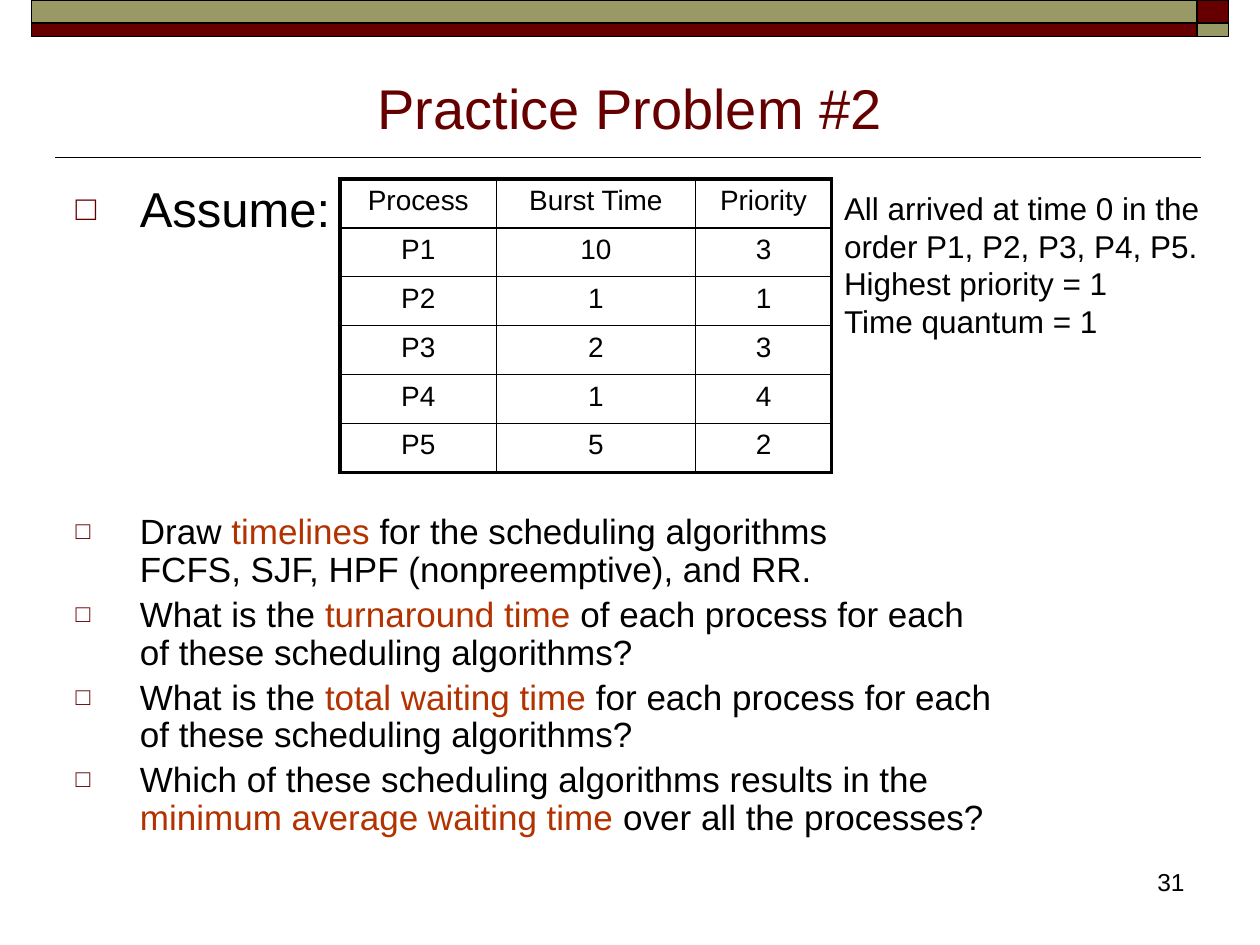
from lxml import etree
from pptx import Presentation
from pptx.dml.color import RGBColor
from pptx.enum import shapes, text
from pptx.oxml import ns
from pptx.util import Pt

SCALE = 9144
BLACK, MAROON, OLIVE, RUST = "000000", "660000", "999966", "B23300"

PROCESSES = [
    ("Process", "Burst Time", "Priority"),
    ("P1", "10", "3"),
    ("P2", "1", "1"),
    ("P3", "2", "3"),
    ("P4", "1", "4"),
    ("P5", "5", "2"),
]
QUESTIONS = [
    "Draw *timelines *for the scheduling algorithms \nFCFS, SJF, HPF (nonpreemptive), and RR.",
    "What is the *turnaround time *of each process for each \nof these scheduling algorithms?",
    "What is the *total waiting time *for each process for each \nof these scheduling algorithms?",
    "Which of these scheduling algorithms results in the \n*minimum average waiting time *over all the processes?",
]
ASSUMPTIONS = [
    "All arrived at time 0 in the",
    "order P1, P2, P3, P4, P5.",
    "Highest priority = 1",
    "Time quantum = 1",
]


def px(length):
    return length * SCALE


def color(value):
    return RGBColor.from_string(value)


def add_xml(parent, tag, **attributes):
    return etree.SubElement(parent, ns.qn(tag), attributes)


class SlideBuilder:
    """Draws styled elements on the current slide."""

    font = "Arial"

    def __init__(self, slide):
        self.slide = slide

    def style(self, run, size, ink=BLACK):
        run.font.name = self.font
        run.font.size = Pt(size)
        run.font.color.rgb = color(ink)

    def place(self, shape, box):
        shape.left, shape.top, shape.width, shape.height = map(px, box)

    def band(self, box, fill):
        band = self.slide.shapes.add_shape(shapes.MSO_SHAPE.RECTANGLE, *map(px, box))
        band.shadow.inherit = False
        band.fill.solid()
        band.fill.fore_color.rgb = color(fill)
        band.line.color.rgb = color(BLACK)
        band.line.width = Pt(1)

    def rule(self, *ends):
        rule = self.slide.shapes.add_connector(shapes.MSO_CONNECTOR.STRAIGHT, *map(px, ends))
        rule.line.color.rgb = color(BLACK)
        rule.line.width = Pt(1)
        add_xml(rule._element.spPr, "a:effectLst")

    def title(self, words, box):
        title = self.slide.shapes.title
        self.place(title, box)
        frame = title.text_frame
        frame.text = words
        frame.auto_size = text.MSO_AUTO_SIZE.NONE
        frame.vertical_anchor = text.MSO_ANCHOR.BOTTOM
        frame.paragraphs[0].alignment = text.PP_ALIGN.CENTER
        self.style(frame.paragraphs[0].runs[0], 32, MAROON)

    def bullets(self, items, box):
        body = self.slide.placeholders[1]
        self.place(body, box)
        frame = body.text_frame
        frame.auto_size = text.MSO_AUTO_SIZE.NONE
        for index, (words, size, gap) in enumerate(items):
            paragraph = frame.add_paragraph() if index else frame.paragraphs[0]
            self.bullet_format(paragraph, gap)
            self.marked_text(paragraph, words, size)

    def bullet_format(self, paragraph, gap):
        paragraph.line_spacing = 0.9
        paragraph.space_before = Pt(gap)
        properties = paragraph._p.get_or_add_pPr()
        properties.set("marL", str(px(51)))
        properties.set("indent", str(px(-51)))
        add_xml(add_xml(properties, "a:buClr"), "a:srgbClr", val=MAROON)
        add_xml(properties, "a:buSzPct", val="70000")
        add_xml(properties, "a:buFont", typeface=self.font)
        add_xml(properties, "a:buChar", char="□")

    def marked_text(self, paragraph, words, size):
        for row, line in enumerate(words.split("\n")):
            if row:
                paragraph.add_line_break()
            for part, phrase in enumerate(line.split("*")):
                if phrase:
                    run = paragraph.add_run()
                    run.text = phrase
                    self.style(run, size, RUST if part % 2 else BLACK)

    def note(self, lines, box, size, align=text.PP_ALIGN.LEFT, wrap=True):
        frame = self.slide.shapes.add_textbox(*map(px, box)).text_frame
        frame.word_wrap = wrap
        frame.text = "\n".join(lines)
        for paragraph in frame.paragraphs:
            paragraph.alignment = align
            self.style(paragraph.runs[0], size)

    def table(self, rows, box, widths):
        table = self.slide.shapes.add_table(len(rows), len(widths), *map(px, box)).table
        table.first_row = table.horz_banding = False
        for column, width in zip(table.columns, widths):
            column.width = px(width)
        for r, row in enumerate(rows):
            for c, value in enumerate(row):
                cell = table.cell(r, c)
                cell.text = value
                paragraph = cell.text_frame.paragraphs[0]
                paragraph.alignment = text.PP_ALIGN.CENTER
                paragraph.space_before = Pt(3.2)
                self.style(paragraph.runs[0], 16)
                self.borders(cell, L=c == 0, R=c == len(row) - 1, T=r == 0, B=r == len(rows) - 1)

    def borders(self, cell, **outer):
        properties = cell._tc.get_or_add_tcPr()
        for side, heavy in outer.items():
            edge = add_xml(properties, f"a:ln{side}", w=str(Pt(2.25 if heavy else 1)))
            add_xml(add_xml(edge, "a:solidFill"), "a:srgbClr", val=BLACK)
        cell.fill.background()


def main():
    deck = Presentation()
    deck.slide_width, deck.slide_height = px(1000), px(750)
    page = SlideBuilder(deck.slides.add_slide(deck.slide_layouts[1]))

    page.rule(953, 125, 44, 125)
    for top, height, long_fill, short_fill in [(0, 18, OLIVE, MAROON), (18, 11, MAROON, OLIVE)]:
        page.band((25, top, 925, height), long_fill)
        page.band((950, top, 25, height), short_fill)

    page.title("Practice Problem #2", (50, 45, 900, 72))
    gaps = [158, 4, 4, 4]
    questions = [(words, 20, gap) for words, gap in zip(QUESTIONS, gaps)]
    page.bullets([("Assume:", 28, 5.6)] + questions, (50, 142, 900, 533))
    page.table(PROCESSES, (270, 142, 390, 233), (124, 158, 108))
    page.note(ASSUMPTIONS, (660, 145, 302, 130), 18, wrap=False)
    page.note(["31"], (742, 683, 208, 50), 14, text.PP_ALIGN.RIGHT)
    deck.save("out.pptx")


if __name__ == "__main__":
    main()
